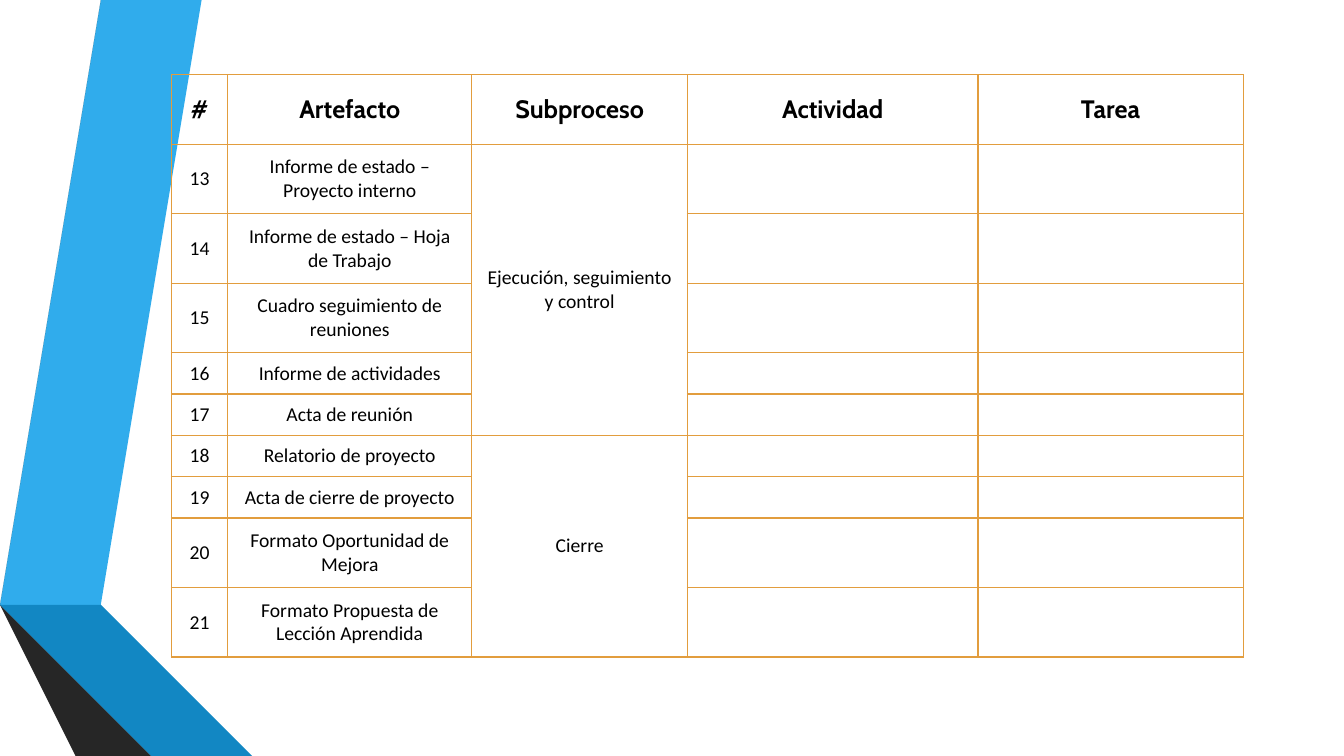
from lxml import etree
from pptx import Presentation
from pptx.dml.color import RGBColor
from pptx.enum.text import MSO_ANCHOR, PP_ALIGN
from pptx.oxml.ns import qn
from pptx.util import Inches, Pt

CENTER = PP_ALIGN.CENTER
MIDDLE = MSO_ANCHOR.MIDDLE
BLACK = RGBColor(0x00, 0x00, 0x00)
ORANGE = RGBColor(0xE2, 0x9D, 0x3E)
SKY = RGBColor(0x30, 0xAC, 0xEC)
BLUE = RGBColor(0x12, 0x87, 0xC3)
NAVY = RGBColor(0x0C, 0x5A, 0x82)
GRAY = RGBColor(0x59, 0x59, 0x59)
CHARCOAL = RGBColor(0x40, 0x40, 0x40)
INK = RGBColor(0x26, 0x26, 0x26)

WIDTH, HEIGHT = 13.33, 7.5
TALL, SHORT = 0.69, 0.41
COLUMN_WIDTHS = [0.56, 2.42, 2.14, 2.88, 2.63]
HEADERS = ["#", "Artefacto", "Subproceso", "Actividad", "Tarea"]
FIRST_NUMBER = 13
ARTIFACTS = [
    ("Informe de estado – Proyecto interno", TALL),
    ("Informe de estado – Hoja de Trabajo", TALL),
    ("Cuadro seguimiento de reuniones", TALL),
    ("Informe de actividades", SHORT),
    ("Acta de reunión", SHORT),
    ("Relatorio de proyecto", SHORT),
    ("Acta de cierre de proyecto", SHORT),
    ("Formato Oportunidad de Mejora", TALL),
    ("Formato Propuesta de Lección Aprendida", TALL),
]
SUBPROCESSES = [("Ejecución, seguimiento y control", 1, 5), ("Cierre", 6, 9)]
RIBBONS = [
    (SKY, [(0.5, 5.78), (0.77, 5.83), (1.73, 0), (1.45, 0)]),
    (GRAY, [(1.39, 0), (1.11, 0), (0.16, 5.73), (0.44, 5.77)]),
    (INK, [(0.16, 5.73), (1.45, HEIGHT), (1.51, HEIGHT)]),
    (NAVY, [(0.5, 5.79), (2.08, HEIGHT), (2.14, HEIGHT)]),
    (BLUE, [(0.5, 5.79), (2.14, HEIGHT), (2.83, HEIGHT), (0.77, 5.83), (0.5, 5.78)]),
    (CHARCOAL, [(2.02, HEIGHT), (0.48, 5.83), (0.43, 5.78), (0.44, 5.77),
                (0.16, 5.73), (1.51, HEIGHT)]),
]


def write(cell, text, font="Calibri", size=14, bold=False):
    para = cell.text_frame.paragraphs[0]
    para.alignment = CENTER
    span = para.add_run()
    span.text = text
    span.font.name = font
    span.font.size = Pt(size)
    span.font.bold = bold
    span.font.color.rgb = BLACK


def add_borders(cell):
    properties = cell._tc.get_or_add_tcPr()
    for side in ("a:lnL", "a:lnR", "a:lnT", "a:lnB"):
        line = etree.SubElement(properties, qn(side), w=str(Pt(1)))
        fill = etree.SubElement(line, qn("a:solidFill"))
        etree.SubElement(fill, qn("a:srgbClr"), val=str(ORANGE))


deck = Presentation()
deck.slide_width = Inches(WIDTH)
deck.slide_height = Inches(HEIGHT)
page = deck.slides.add_slide(deck.slide_layouts[6])

for color, points in RIBBONS:
    builder = page.shapes.build_freeform(*points[0], scale=Inches(1))
    builder.add_line_segments(points[1:], close=True)
    ribbon = builder.convert_to_shape()
    ribbon.shadow.inherit = False
    ribbon.fill.solid()
    ribbon.fill.fore_color.rgb = color
    ribbon.line.fill.background()

row_heights = [TALL] + [height for _, height in ARTIFACTS]
table = page.shapes.add_table(
    len(row_heights), len(COLUMN_WIDTHS), Inches(1.7), Inches(0.74),
    Inches(sum(COLUMN_WIDTHS)), Inches(sum(row_heights))).table
table.first_row = False
table.horz_banding = False
for column, width in zip(table.columns, COLUMN_WIDTHS):
    column.width = Inches(width)
for row, height in zip(table.rows, row_heights):
    row.height = Inches(height)
for cell in table.iter_cells():
    add_borders(cell)
    cell.fill.background()
    cell.vertical_anchor = MIDDLE

for index, header in enumerate(HEADERS):
    write(table.cell(0, index), header, font="Cabin", size=18, bold=True)
for index, (artifact, _) in enumerate(ARTIFACTS):
    write(table.cell(index + 1, 0), str(FIRST_NUMBER + index))
    write(table.cell(index + 1, 1), artifact)
for subprocess, first, last in SUBPROCESSES:
    table.cell(first, 2).merge(table.cell(last, 2))
    write(table.cell(first, 2), subprocess)

deck.save("out.pptx")
